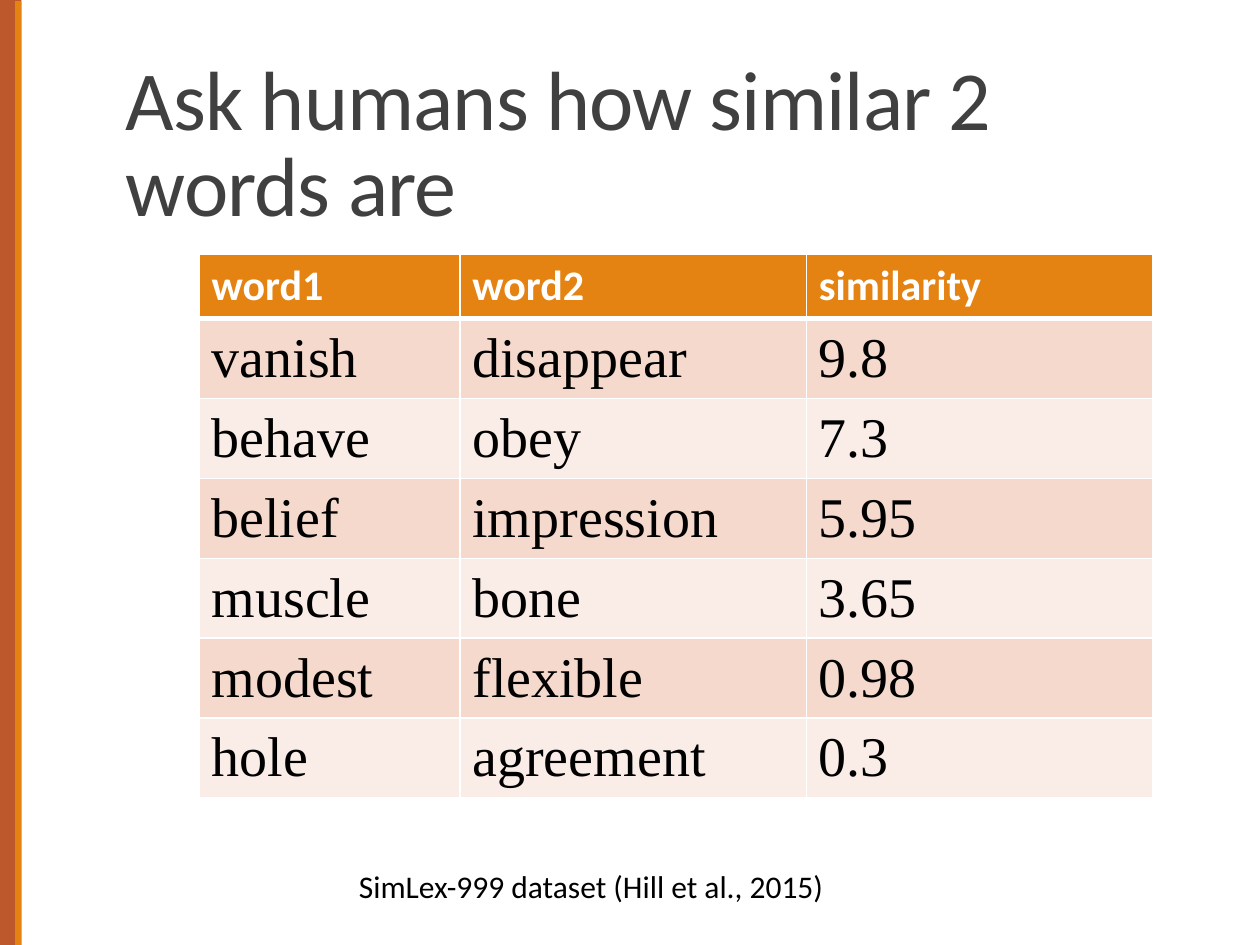
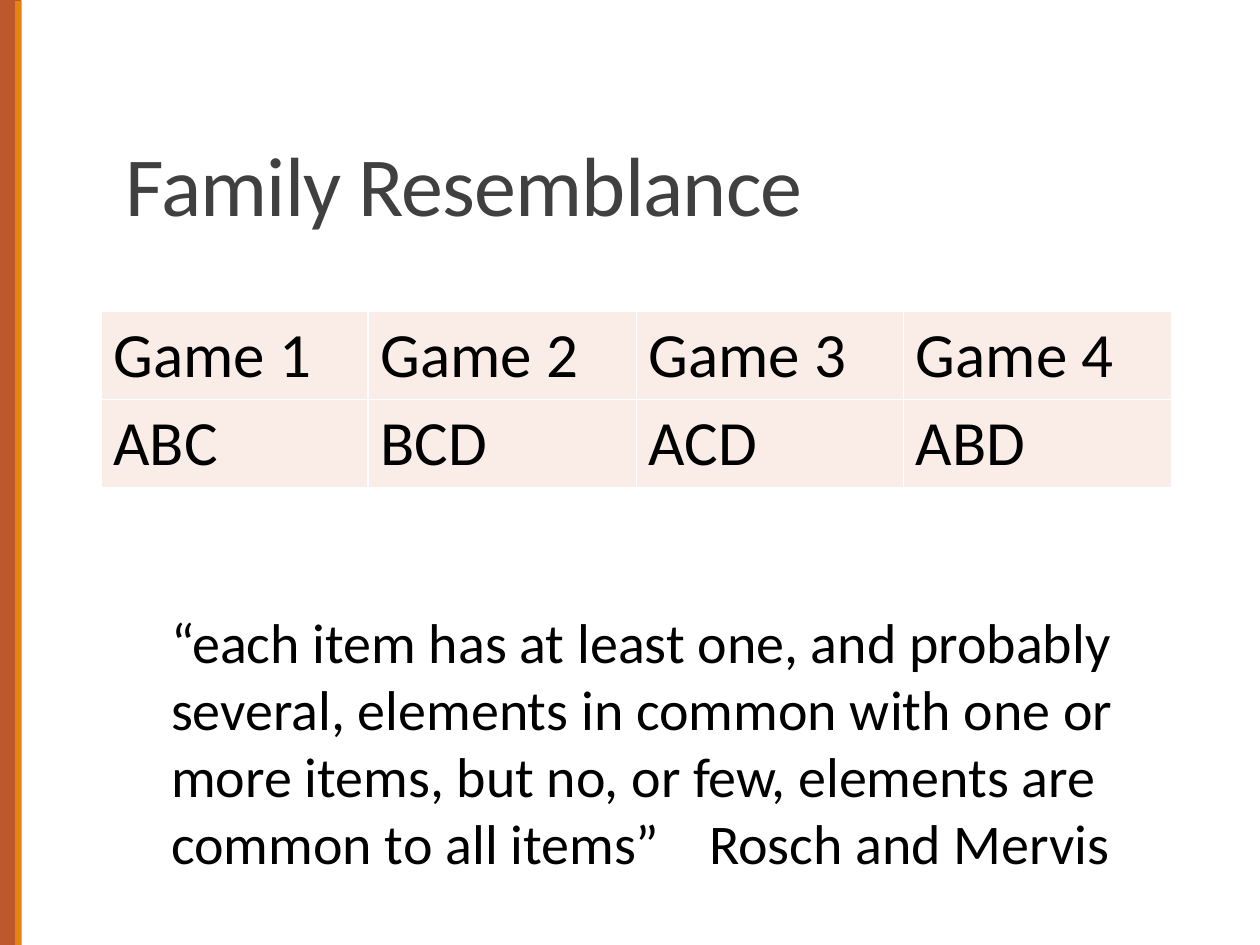
import dataclasses

import pptx
import pptx.dml.color
import pptx.enum.shapes
import pptx.enum.text
import pptx.oxml
import pptx.oxml.ns
import pptx.util

EMU_PER_PX = 9144  # 100 px to the inch
ANCHOR = pptx.enum.text.MSO_ANCHOR


def px(length):
    return pptx.util.Emu(length * EMU_PER_PX)


def rgb(value):
    return pptx.dml.color.RGBColor.from_string(value)


def set_all(target, values):
    for name, value in values.items():
        setattr(target, name, value)


def element(tag, **attributes):
    node = pptx.oxml.parse_xml(f"<a:{tag} {pptx.oxml.ns.nsdecls('a')}/>")
    for name, value in attributes.items():
        node.set(name, str(value))
    return node


@dataclasses.dataclass(frozen=True)
class Theme:
    rust: str = "BD582C"
    orange: str = "E48312"
    blush: str = "F5D9CC"
    pale: str = "FAEDE7"
    white: str = "FFFFFF"
    black: str = "000000"
    title_grey: str = "404040"
    sans: str = "Calibri"
    serif: str = "Times New Roman"
    title_size: int = 48
    game_size: int = 36
    body_size: int = 32
    header_size: int = 24
    caption_size: int = 18
    title_tracking: int = -50
    rule: int = 1
    header_rule: int = 3


class Deck:
    """Holds the theme and the slide being filled."""

    def __init__(self, theme):
        self.theme = theme
        self.presentation = pptx.Presentation()
        set_all(self.presentation, {"slide_width": px(1000), "slide_height": px(750)})
        self.slide = None

    def start_slide(self, title):
        theme = self.theme
        self.slide = self.presentation.slides.add_slide(self.presentation.slide_layouts[6])
        self.band(0, 0, 17, 750, theme.rust)
        self.band(12, 1, 5, 749, theme.orange)
        heading = self.text(title, 90, 31, 825, 159, theme.title_size,
                            theme.title_grey, vertical_anchor=ANCHOR.BOTTOM)
        heading.line_spacing = 0.85
        heading.runs[0].font._element.set("spc", str(theme.title_tracking))

    def band(self, left, top, width, height, color):
        band = self.slide.shapes.add_shape(
            pptx.enum.shapes.MSO_SHAPE.RECTANGLE, *map(px, (left, top, width, height)))
        band.shadow.inherit = False
        band.fill.solid()
        band.fill.fore_color.rgb = rgb(color)
        band.line.fill.background()

    def style(self, paragraph, size, color, font=None, bold=False):
        for run in paragraph.runs:
            set_all(run.font, {"name": font or self.theme.sans,
                               "size": pptx.util.Pt(size), "bold": bold})
            run.font.color.rgb = rgb(color)

    def text(self, words, left, top, width, height, size, color, tab=None, **frame_format):
        box = self.slide.shapes.add_textbox(*map(px, (left, top, width, height)))
        frame = box.text_frame
        set_all(frame, {"word_wrap": True, **frame_format})
        paragraph = frame.paragraphs[0]
        paragraph.text = words
        if tab:
            stops = element("tabLst")
            stops.append(element("tab", pos=px(tab), algn="l"))
            paragraph._p.get_or_add_pPr().append(stops)
        self.style(paragraph, size, color)
        return paragraph

    def table(self, rows, left, top, widths, heights, row_styles):
        """Each row style is a dict of fill, top and bottom rule, anchor and text format."""
        table = self.slide.shapes.add_table(
            len(rows), len(widths), *map(px, (left, top, sum(widths), sum(heights)))).table
        set_all(table, {"first_row": False, "horz_banding": False})
        for column, width in zip(table.columns, widths):
            column.width = px(width)
        for row, height, words, style in zip(table.rows, heights, rows, row_styles):
            row.height = px(height)
            for cell, word in zip(row.cells, words):
                cell.text = word
                cell.vertical_anchor = style.get("anchor", ANCHOR.MIDDLE)
                cell.fill.solid()
                cell.fill.fore_color.rgb = rgb(style["fill"])
                self.style(cell.text_frame.paragraphs[0], **style["text"])
                self.cell_rules(cell, style)

    def cell_rules(self, cell, style):
        rule = self.theme.rule
        weights = {"lnL": rule, "lnR": rule,
                   "lnT": style.get("above", rule), "lnB": style.get("below", rule)}
        for place, (tag, weight) in enumerate(weights.items()):
            line = element(tag, w=pptx.util.Pt(weight))
            fill = element("solidFill")
            fill.append(element("srgbClr", val=self.theme.white))
            line.append(fill)
            cell._tc.get_or_add_tcPr().insert(place, line)


def human_similarity(deck):
    theme = deck.theme
    deck.start_slide("Ask humans how similar 2 words are")
    ratings = [
        ("word1", "word2", "similarity"),
        ("vanish", "disappear", "9.8"),
        ("behave", "obey", "7.3"),
        ("belief", "impression", "5.95"),
        ("muscle", "bone", "3.65"),
        ("modest", "flexible", "0.98"),
        ("hole", "agreement", "0.3"),
    ]
    header = {"fill": theme.orange, "below": theme.header_rule,
              "text": {"size": theme.header_size, "color": theme.white, "bold": True}}
    pair_text = {"size": theme.body_size, "color": theme.black, "font": theme.serif}
    dark, light = ({"fill": fill, "text": pair_text} for fill in (theme.blush, theme.pale))
    first = {**dark, "above": theme.header_rule}
    deck.table(ratings, 158, 202, [207, 275, 275], [51] + [59] * 6,
               [header, first, light] + [dark, light] * 2)
    deck.text("SimLex-999 dataset (Hill et al., 2015)", 275, 683, 399, 40,
              theme.caption_size, theme.black, word_wrap=False,
              auto_size=pptx.enum.text.MSO_AUTO_SIZE.SHAPE_TO_FIT_TEXT)


def family_resemblance(deck):
    theme = deck.theme
    deck.start_slide("Family Resemblance")
    games = [("Game 1", "Game 2", "Game 3", "Game 4"), ("ABC", "BCD", "ACD", "ABD")]
    plain = {"fill": theme.pale, "anchor": ANCHOR.TOP,
             "text": {"size": theme.game_size, "color": theme.black}}
    deck.table(games, 80, 247, [212, 213] * 2, [70] * 2, [plain] * 2)
    deck.text("“each item has at least one, and probably several, elements in common "
              "with one or more items, but no, or few, elements are common to all items”"
              "\tRosch and Mervis", 126, 477, 804, 226, theme.body_size, theme.black,
              tab=427, auto_size=pptx.enum.text.MSO_AUTO_SIZE.SHAPE_TO_FIT_TEXT)


def main():
    deck = Deck(Theme())
    human_similarity(deck)
    family_resemblance(deck)
    deck.presentation.save("out.pptx")


if __name__ == "__main__":
    main()
